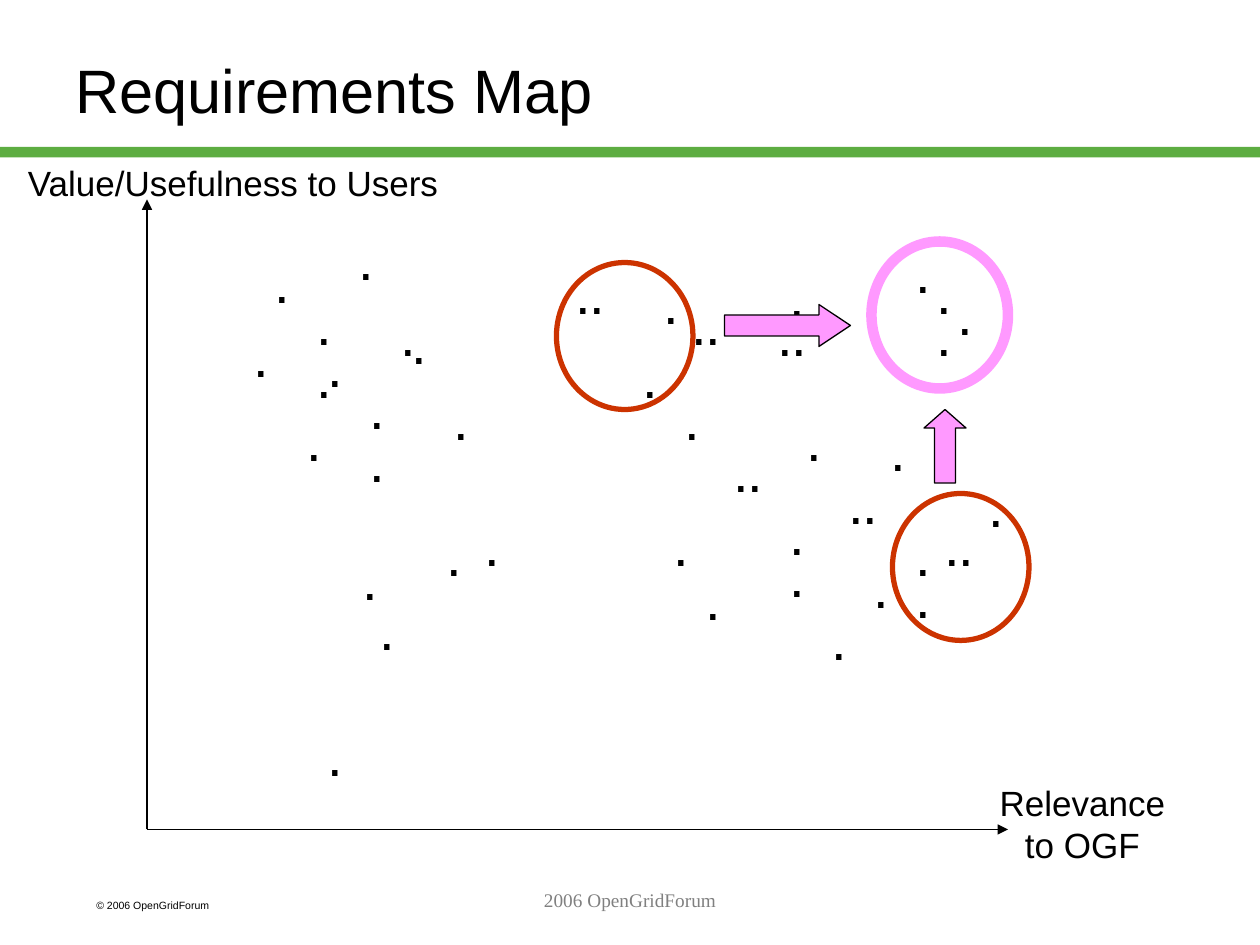
from pptx import Presentation
from pptx.dml.color import RGBColor
from pptx.enum.shapes import MSO_CONNECTOR, MSO_SHAPE
from pptx.enum.text import MSO_ANCHOR, MSO_AUTO_SIZE, PP_ALIGN
from pptx.oxml.ns import qn
from pptx.util import Pt
from lxml.etree import SubElement

COLORS = {
    "text": "000000",
    "footer": "808080",
    "band": "5DAD41",
    "target": "FF99FF",
    "candidate": "CC3300",
}

# Left and top of each requirement's box, in points
REQUIREMENTS = [
    # Low relevance
    (200, 307.5), (210, 336), (180, 408), (248, 294), (270, 288),
    (252, 216), (180, 186), (168, 228), (204, 210), (204, 240),
    (228, 173), (222, 168), (150, 138), (138, 180), (174, 162),
    (174, 192), (198, 124.5),
    # Medium relevance
    (396, 319), (444, 306), (454, 228), (360, 192), (372, 150),
    (384, 216), (468, 342), (378, 288), (444, 282), (444, 146),
    (412, 246), (420, 246), (388, 162), (396, 162),
    (322, 144), (330, 144), (437, 168), (445, 168),
    # High relevance
    (516, 132), (528, 144), (540, 156), (528, 168), (478, 264),
    (486, 264), (516, 318), (492, 312), (502, 234), (532.5, 288),
    (540.5, 288), (558, 266), (516, 294),
]
REQUIREMENT_SIZE = (23, 46)
CIRCLE_SIZE = (78, 84)
ORIGIN = (84, 474)


def rgb(name):
    return RGBColor.from_string(COLORS[name])


def add_text(slide, text, left, top, width, height, size=20, font="Arial",
             color="text", align=PP_ALIGN.LEFT, anchor=MSO_ANCHOR.TOP,
             wrap=True):
    """Add a text box with one paragraph per line; unwrapped boxes fit their text."""
    box = slide.shapes.add_textbox(Pt(left), Pt(top), Pt(width), Pt(height))
    frame = box.text_frame
    frame.word_wrap = wrap
    frame.auto_size = MSO_AUTO_SIZE.NONE if wrap else MSO_AUTO_SIZE.SHAPE_TO_FIT_TEXT
    frame.vertical_anchor = anchor
    frame.text = text
    for paragraph in frame.paragraphs:
        paragraph.alignment = align
        paragraph.font.size = Pt(size)
        paragraph.font.name = font
        paragraph.font.color.rgb = rgb(color)


def add_figure(slide, preset, left, top, width, height, fill=None, line=None,
               weight=0.75):
    figure = slide.shapes.add_shape(preset, Pt(left), Pt(top), Pt(width), Pt(height))
    figure.shadow.inherit = False
    if fill:
        figure.fill.solid()
        figure.fill.fore_color.rgb = rgb(fill)
    else:
        figure.fill.background()
    if line:
        figure.line.color.rgb = rgb(line)
        figure.line.width = Pt(weight)
    else:
        figure.line.fill.background()
    return figure


def add_circle(slide, left, top, color, weight):
    add_figure(slide, MSO_SHAPE.OVAL, left, top, *CIRCLE_SIZE, line=color, weight=weight)


def add_move(slide, left, top, length, head, rotation=0):
    """Add a block arrow; head is the head's length relative to its width."""
    arrow = add_figure(slide, MSO_SHAPE.RIGHT_ARROW, left, top, length, 24,
                       fill="target", line="text")
    arrow.adjustments[1] = head
    arrow.rotation = rotation


def add_axis(slide, end_x, end_y):
    axis = slide.shapes.add_connector(
        MSO_CONNECTOR.STRAIGHT, *map(Pt, (*ORIGIN, end_x, end_y)))
    axis.line.color.rgb = rgb("text")
    axis.line.width = Pt(0.75)
    SubElement(axis.line._get_or_add_ln(), qn("a:tailEnd"), type="triangle")
    SubElement(axis._element.spPr, qn("a:effectLst"))


def main():
    deck = Presentation()
    deck.slide_width, deck.slide_height = Pt(720), Pt(540)
    slide = deck.slides.add_slide(deck.slide_layouts[6])

    add_figure(slide, MSO_SHAPE.RECTANGLE, 0, 84, 720, 6, fill="band")
    add_text(slide, "© 2006 OpenGridForum", 48, 510, 108, 14.4, size=6)
    add_text(slide, "Requirements Map", 36, 12, 612, 78, size=35,
             anchor=MSO_ANCHOR.MIDDLE)

    add_axis(slide, ORIGIN[0], 114)
    add_axis(slide, 576, ORIGIN[1])
    add_text(slide, "Relevance\nto OGF", 564, 443, 109, 55.5,
             align=PP_ALIGN.CENTER, wrap=False)
    add_text(slide, "Value/Usefulness to Users", 8, 88.5, 250.5, 31.5,
             align=PP_ALIGN.CENTER, wrap=False)

    for left, top in REQUIREMENTS:
        add_text(slide, ".", left, top, *REQUIREMENT_SIZE, size=32,
                 align=PP_ALIGN.RIGHT, wrap=False)

    add_circle(slide, 498, 138, "target", 6)
    add_circle(slide, 318, 150, "candidate", 3)
    add_circle(slide, 510, 282, "candidate", 3)
    add_move(slide, 414, 174, 72, 0.75)
    add_move(slide, 519, 243, 42, 0.44, rotation=270)

    add_text(slide, "2006 OpenGridForum", 150, 504, 420, 36, size=11,
             font="Times New Roman", color="footer", align=PP_ALIGN.CENTER)
    deck.save("out.pptx")


if __name__ == "__main__":
    main()
